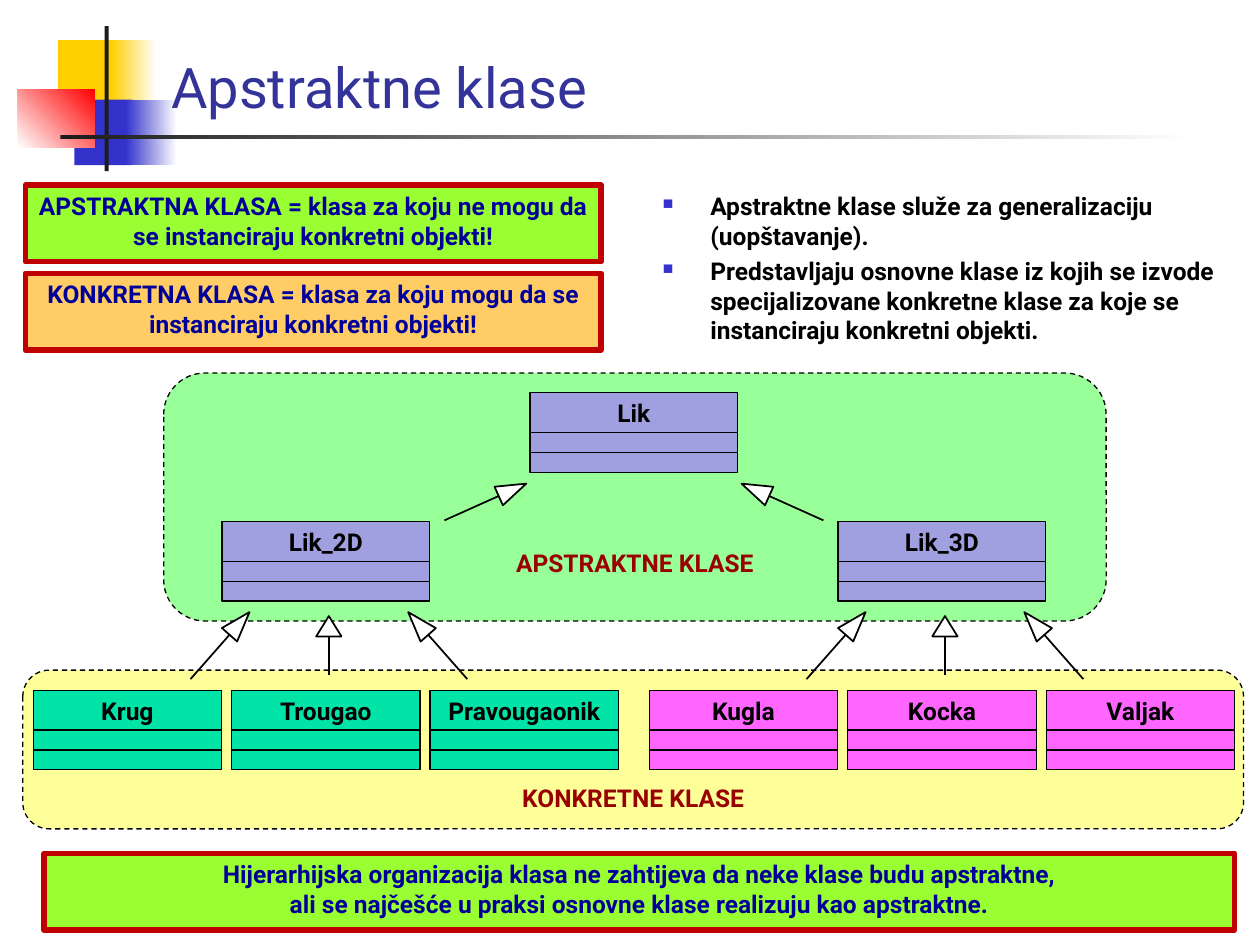
"""Build the slide on abstract and concrete classes."""
from math import atan2, degrees, hypot

from lxml.etree import SubElement
from pptx import Presentation
from pptx.dml.color import RGBColor
from pptx.enum.dml import MSO_LINE
from pptx.enum.shapes import MSO_CONNECTOR, MSO_SHAPE
from pptx.enum.text import MSO_ANCHOR, PP_ALIGN
from pptx.oxml.ns import qn
from pptx.util import Cm, Pt

FONT = "Roboto"
BLACK, WHITE, NAVY, MAROON = "000000", "FFFFFF", "000099", "990000"
BLUE, LIME, LILAC = "3333CC", "99FF33", "A0A0E0"

TITLE = "Apstraktne klase"
ORNAMENTS = [
    ((1.17, 0.81, 1.22, 1.32), ("FFCF01",), 0),
    ((2.24, 0.81, 0.91, 1.32), ("FFCF01", WHITE), 0),
    ((1.5, 2.01, 1.17, 1.32), (BLUE,), 0),
    ((2.54, 2.01, 1.02, 1.32), (BLUE, WHITE), 0),
    ((0.36, 1.8, 1.55, 1.17), (WHITE, "FF0000"), 45),
    ((2.11, 0.53, 0.08, 2.92), ("1C1C1C",), 0),
    ((1.22, 2.72, 22.86, 0.08), ("1C1C1C", WHITE), 0),
]
REGIONS = [
    ("APSTRAKTNE KLASE", (3.3, 7.52, 19, 5), "99FF99", 0.63),
    ("KONKRETNE KLASE", (0.46, 13.51, 24.61, 3.2), "FFFF99", 0.18),
]
BANNERS = [
    (["APSTRAKTNA KLASA = klasa za koju ne mogu da se instanciraju konkretni objekti!"],
     (0.51, 3.73, 11.61, 1.55), LIME),
    (["KONKRETNA KLASA = klasa za koju mogu da se instanciraju konkretni objekti!"],
     (0.51, 5.51, 11.61, 1.55), "FFCC66"),
    (["Hijerarhijska organizacija klasa ne zahtijeva da neke klase budu apstraktne,",
      "ali se najčešće u praksi osnovne klase realizuju kao apstraktne."],
     (0.89, 17.2, 24, 1.55), LIME),
]
BULLETS = [
    "Apstraktne klase služe za generalizaciju (uopštavanje).",
    "Predstavljaju osnovne klase iz kojih se izvode specijalizovane konkretne klase "
    "za koje se instanciraju konkretni objekti.",
]
ROOT = "Lik"
FAMILIES = [
    ("Lik_2D", 6.57, "00E4A8", ["Krug", "Trougao", "Pravougaonik"]),
    ("Lik_3D", 18.99, "FF66FF", ["Kugla", "Kocka", "Valjak"]),
]
ROOT_TOP, FAMILY_TOP, CONCRETE_TOP = 7.92, 10.52, 13.92
ABSTRACT_WIDTH, CONCRETE_WIDTH, CONCRETE_PITCH = 4.19, 3.8, 4
COMPARTMENTS = [0.8, 0.4, 0.4]
ARROW_SHIFT = 0.06


def rgb(value):
    return RGBColor.from_string(value)


def add_shape(shapes, kind, box, colors, line=None, weight=0.75, angle=0):
    shape = shapes.add_shape(kind, *map(Cm, box))
    shape.shadow.inherit = False
    if len(colors) == 1:
        shape.fill.solid()
        shape.fill.fore_color.rgb = rgb(colors[0])
    else:
        shape.fill.gradient()
        shape.fill.gradient_angle = angle
        for stop, color in zip(shape.fill.gradient_stops, colors):
            stop.color.rgb = rgb(color)
    if line:
        shape.line.color.rgb = rgb(line)
        shape.line.width = Pt(weight)
    else:
        shape.line.fill.background()
    return shape


def write(shape, texts, color, size=14, bold=True, align=PP_ALIGN.CENTER,
          anchor=MSO_ANCHOR.TOP, wrap=True):
    frame = shape.text_frame
    frame.word_wrap = wrap
    frame.vertical_anchor = anchor
    for index, text in enumerate(texts):
        paragraph = frame.add_paragraph() if index else frame.paragraphs[0]
        paragraph.alignment = align
        run = paragraph.add_run()
        run.text = text
        run.font.name = FONT
        run.font.size = Pt(size)
        run.font.bold = bold
        run.font.color.rgb = rgb(color)
    return frame


def add_bullet(paragraph):
    properties = paragraph._p.get_or_add_pPr()
    properties.set("marL", str(Cm(0.96)))
    properties.set("indent", str(-Cm(0.96)))
    color = SubElement(properties, qn("a:buClr"))
    SubElement(color, qn("a:srgbClr"), val=BLUE)
    SubElement(properties, qn("a:buSzPct"), val="60000")
    SubElement(properties, qn("a:buChar"), char="■")


def add_class(slide, name, center, top, width, color):
    shapes = slide.shapes.add_group_shape().shapes
    for index, height in enumerate(COMPARTMENTS):
        box = (center - width / 2, top, width, height)
        shape = add_shape(shapes, MSO_SHAPE.RECTANGLE, box, [color], BLACK)
        if index == 0:
            write(shape, [name], BLACK, anchor=MSO_ANCHOR.MIDDLE, wrap=False)
        top += height


def add_arrow(slide, tip, tail, width=0.41, length=0.61):
    shapes = slide.shapes.add_group_shape().shapes
    (tip_x, tip_y), (tail_x, tail_y) = tip, tail
    across, down = tail_x - tip_x, tail_y - tip_y
    share = length / hypot(across, down)
    base_x, base_y = tip_x + across * share, tip_y + down * share
    box = ((tip_x + base_x - width) / 2, (tip_y + base_y - length) / 2, width, length)
    head = add_shape(shapes, MSO_SHAPE.ISOSCELES_TRIANGLE, box, [WHITE], BLACK, 1)
    head.rotation = degrees(atan2(-across, down))
    line = shapes.add_connector(MSO_CONNECTOR.STRAIGHT, *map(Cm, (base_x, base_y, tail_x, tail_y)))
    line.line.color.rgb = rgb(BLACK)
    line.line.width = Pt(1)
    SubElement(line._element.spPr, qn("a:effectLst"))


def add_text_parts(slide):
    for text, box, color, inset in REGIONS:
        region = add_shape(slide.shapes, MSO_SHAPE.ROUNDED_RECTANGLE, box, [color], BLACK)
        region.line.dash_style = MSO_LINE.DASH
        frame = write(region, [text], MAROON, anchor=MSO_ANCHOR.BOTTOM, wrap=False)
        frame.margin_bottom = Cm(inset)
    title = slide.shapes.add_textbox(Cm(3.2), Cm(0.33), Cm(22.2), Cm(2.21))
    write(title, [TITLE], "333399", 32, False, PP_ALIGN.LEFT, MSO_ANCHOR.BOTTOM)
    for texts, box, color in BANNERS:
        banner = add_shape(slide.shapes, MSO_SHAPE.RECTANGLE, box, [color], "C00000", 3)
        write(banner, texts, NAVY)
    notes = slide.shapes.add_textbox(Cm(13.11), Cm(3.73), Cm(11.81), Cm(3.4))
    frame = write(notes, BULLETS, BLACK, align=PP_ALIGN.LEFT)
    frame.paragraphs[1].space_before = Pt(3.5)
    for paragraph in frame.paragraphs:
        add_bullet(paragraph)


def add_hierarchy(slide):
    root_center = sum(family[1] for family in FAMILIES) / len(FAMILIES)
    add_class(slide, ROOT, root_center, ROOT_TOP, ABSTRACT_WIDTH, LILAC)
    for side, (parent, center, color, children) in zip((-1, 1), FAMILIES):
        add_class(slide, parent, center, FAMILY_TOP, ABSTRACT_WIDTH, LILAC)
        add_arrow(slide, (root_center + side * 2.17, 9.75), (root_center + side * 3.82, 10.49))
        axis = center + ARROW_SHIFT
        for place, child in zip((-1, 0, 1), children):
            child_center = center + place * CONCRETE_PITCH
            add_class(slide, child, child_center, CONCRETE_TOP, CONCRETE_WIDTH, color)
            if place:
                add_arrow(slide, (axis + place * 1.6, 12.34), (axis + place * 2.79, 13.69))
            else:
                add_arrow(slide, (axis, 12.42), (axis, 13.61), 0.51, 0.41)


def main():
    presentation = Presentation()
    presentation.slide_width, presentation.slide_height = Cm(25.4), Cm(19.05)
    slide = presentation.slides.add_slide(presentation.slide_layouts[6])
    for box, colors, angle in ORNAMENTS:
        add_shape(slide.shapes, MSO_SHAPE.RECTANGLE, box, colors, angle=angle)
    add_text_parts(slide)
    add_hierarchy(slide)
    presentation.save("out.pptx")


if __name__ == "__main__":
    main()
